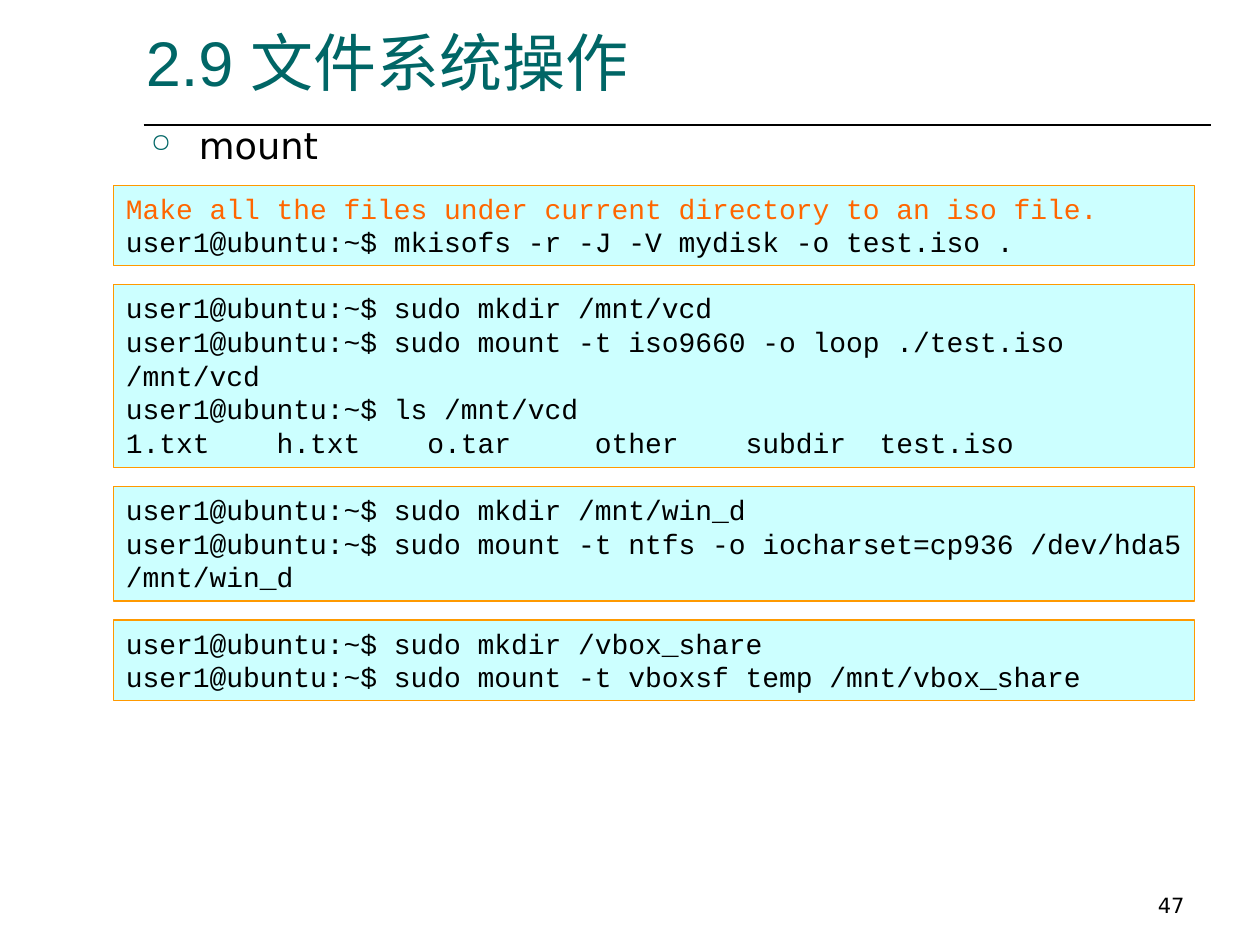
import pptx
import pptx.util
import pptx.dml.color
import pptx.enum.shapes
import pptx.enum.text
import lxml.etree

inch, Pt = pptx.util.Inches, pptx.util.Pt
kinds = pptx.enum.shapes
text = pptx.enum.text
teal, orange, black = "006666", "FF6600", "000000"


def rgb(code):
    return pptx.dml.color.RGBColor.from_string(code)


def write(frame, lines, face, size, color):
    """Fill a frame with one paragraph per line, all in one style."""
    frame.word_wrap = True
    for i, line in enumerate(lines):
        para = frame.paragraphs[0] if i == 0 else frame.add_paragraph()
        para.text = line
        para.alignment = text.PP_ALIGN.LEFT
        para.font.name = face
        para.font.size = Pt(size)
        para.font.color.rgb = rgb(color)


deck = pptx.Presentation()
deck.slide_width, deck.slide_height = inch(10), inch(7.5)
slide = deck.slides.add_slide(deck.slide_layouts[6])
shapes = slide.shapes

# Rule under the title
rule = shapes.add_connector(kinds.MSO_CONNECTOR.STRAIGHT,
                            inch(1.14), inch(0.99), inch(9.61), inch(0.99))
rule.line.color.rgb = rgb(black)
rule.line.width = Pt(1)
ns = "http://schemas.openxmlformats.org/drawingml/2006/main"
props = rule.line._get_or_add_ln().getparent()
lxml.etree.SubElement(props, "{%s}effectLst" % ns)

# Title, page number and topic
title = shapes.add_textbox(inch(1.06), inch(0.21), inch(8.47), inch(0.63)).text_frame
write(title, ["2.9 文件系统操作"], "Arial", 36, teal)
title.vertical_anchor = text.MSO_ANCHOR.BOTTOM

page = shapes.add_textbox(inch(7.17), inch(6.83), inch(2.33), inch(0.5)).text_frame
write(page, ["47"], "DejaVu Sans", 12, black)
page.vertical_anchor = text.MSO_ANCHOR.BOTTOM
page.paragraphs[0].alignment = text.PP_ALIGN.RIGHT

topic = shapes.add_textbox(inch(1.1), inch(0.99), inch(8.9), inch(0.39)).text_frame
para = topic.paragraphs[0]
para.line_spacing = 0.8
marks = para._p.get_or_add_pPr()
marks.set("marL", str(inch(0.38)))
marks.set("indent", str(-inch(0.38)))
tint = lxml.etree.SubElement(marks, "{%s}buClr" % ns)
lxml.etree.SubElement(tint, "{%s}srgbClr" % ns, val=teal)
lxml.etree.SubElement(marks, "{%s}buSzPct" % ns, val="70000")
lxml.etree.SubElement(marks, "{%s}buChar" % ns, char="○")
write(topic, ["mount"], "DejaVu Sans", 21, black)

# Terminal boxes: stacked with equal gaps, height set by the rows shown
prompt = "user1@ubuntu:~$ "
boxes = [
    (2, ["Make all the files under current directory to an iso file.",
         prompt + "mkisofs -r -J -V mydisk -o test.iso ."]),
    (5, [prompt + "sudo mkdir /mnt/vcd",
         prompt + "sudo mount -t iso9660 -o loop ./test.iso /mnt/vcd",
         prompt + "ls /mnt/vcd",
         "1.txt    h.txt    o.tar     other    subdir  test.iso"]),
    (3, [prompt + "sudo mkdir /mnt/win_d",
         prompt + "sudo mount -t ntfs -o iocharset=cp936 /dev/hda5 /mnt/win_d"]),
    (2, [prompt + "sudo mkdir /vbox_share",
         prompt + "sudo mount -t vboxsf temp /mnt/vbox_share"]),
]
top, row, pad, gap = 1.47, 0.27, 0.1, 0.15
for rows, lines in boxes:
    high = rows * row + pad
    box = shapes.add_shape(kinds.MSO_SHAPE.RECTANGLE,
                           inch(0.9), inch(top), inch(8.58), inch(high))
    box.shadow.inherit = False
    box.fill.solid()
    box.fill.fore_color.rgb = rgb("CCFFFF")
    box.line.color.rgb = rgb("FF9900")
    box.line.width = Pt(0.75)
    frame = box.text_frame
    frame.margin_right = inch(0.08)
    frame.vertical_anchor = text.MSO_ANCHOR.TOP
    write(frame, lines, "Courier New", 16, black)
    if not lines[0].startswith(prompt):
        frame.paragraphs[0].font.color.rgb = rgb(orange)
    top += high + gap

deck.save("out.pptx")
